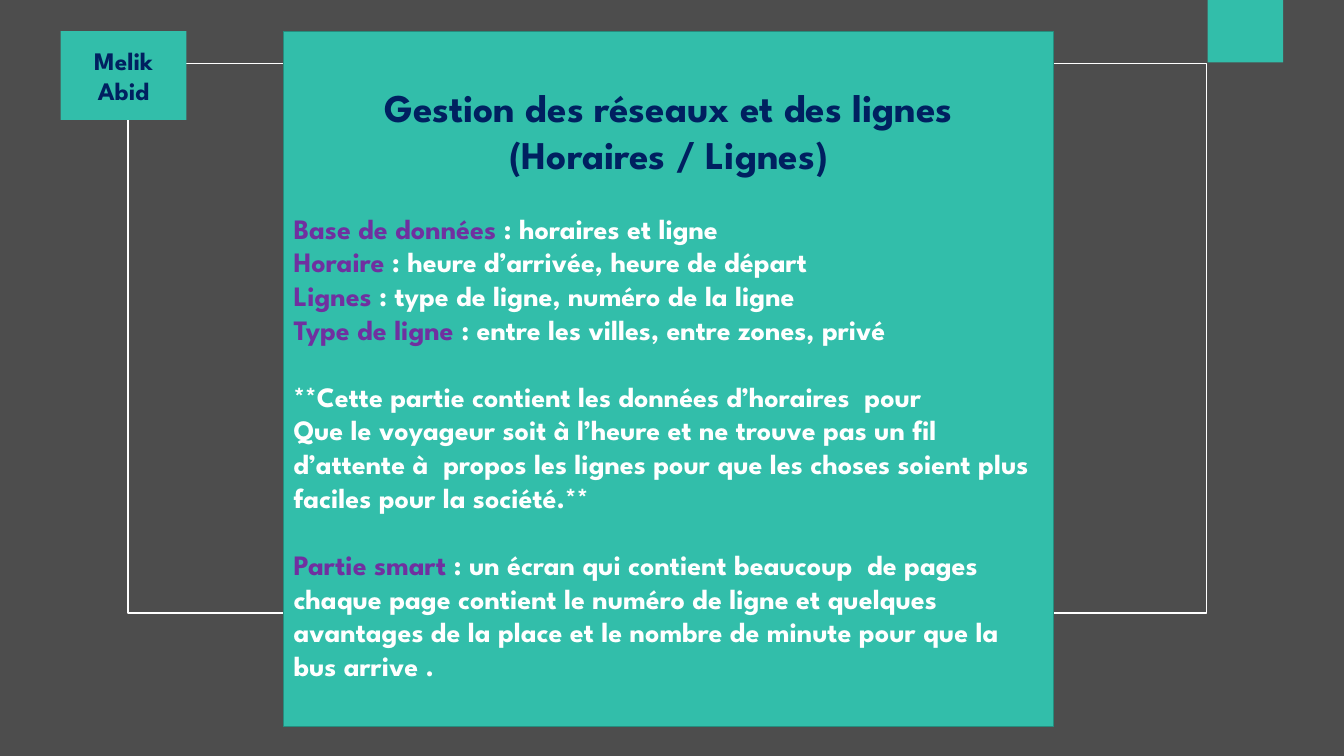
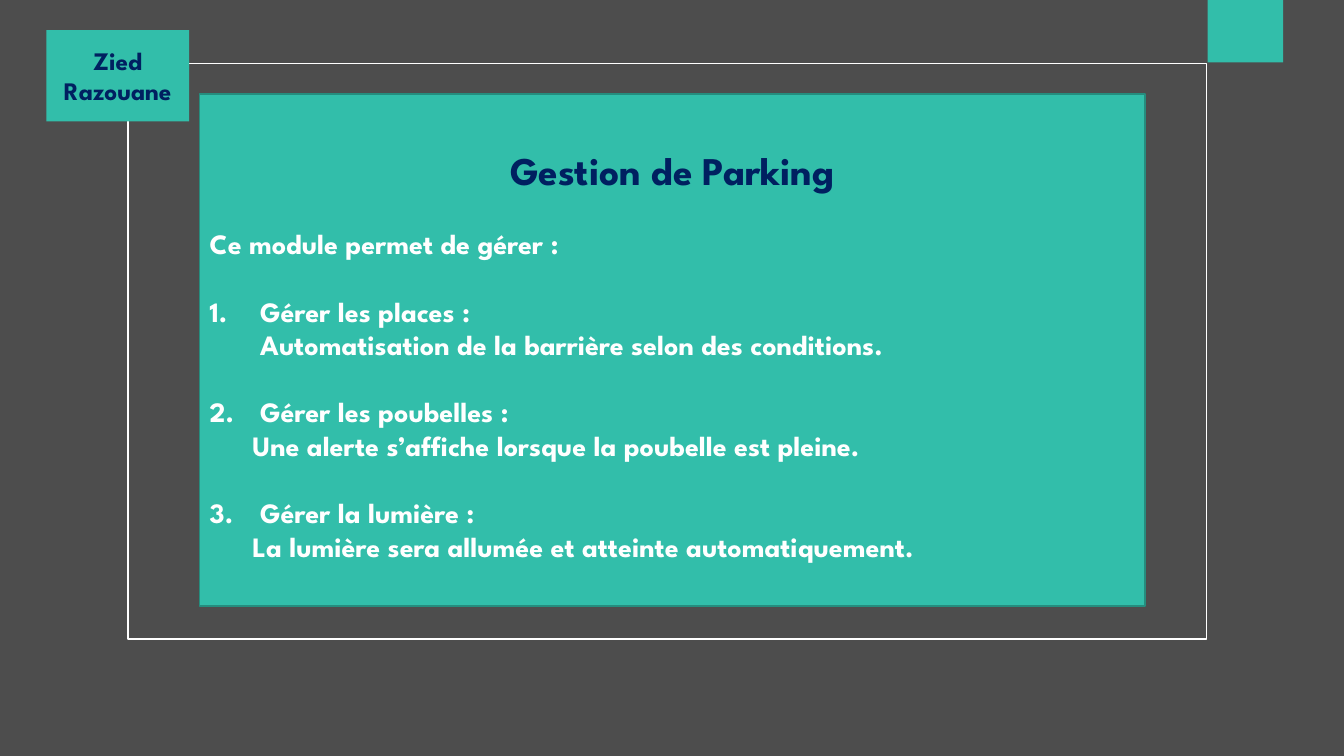
import pptx
import pptx.util
import pptx.dml.color
import pptx.enum.shapes
import pptx.enum.text
import pptx.oxml.ns
import lxml.etree

Pt = pptx.util.Pt
RGB = pptx.dml.color.RGBColor
ALIGN = pptx.enum.text.PP_ALIGN
ANCHOR = pptx.enum.text.MSO_ANCHOR

# Shared style
FONT = "League Spartan"
GREY = RGB(0x4D, 0x4D, 0x4D)
TEAL = RGB(0x32, 0xBE, 0xAA)
EDGE = RGB(0x25, 0x8D, 0x7E)
NAVY = RGB(0x00, 0x20, 0x60)
PURPLE = RGB(0x70, 0x30, 0xA0)
WHITE = RGB(0xFF, 0xFF, 0xFF)
HEAD, TEXT, NAME = 28, 20, 18
LEAD = 1.2
GAP = TEXT * LEAD
INSET = 3.6

# Each line: label, text, gap above, number, left indent
NETWORK = [
    ("Base de données", " : horaires et ligne", 0, 0, 0),
    ("Horaire", " : heure d’arrivée, heure de départ", 0, 0, 0),
    ("Lignes", " : type de ligne, numéro de la ligne", 0, 0, 0),
    ("Type de ligne", " : entre les villes, entre zones, privé", 0, 0, 0),
    ("", "**Cette partie contient les données d’horaires  pour", GAP, 0, 0),
    ("", "Que le voyageur soit à l’heure et ne trouve pas un fil d’attente "
     "à  propos les lignes pour que les choses soient plus faciles pour la "
     "société.**", 0, 0, 0),
    ("Partie smart", " : un écran qui contient beaucoup  de pages chaque page "
     "contient le numéro de ligne et quelques avantages de la place et le "
     "nombre de minute pour que la bus arrive .", GAP, 0, 0),
]
PARKING = [
    ("", "Ce module permet de gérer :", 0, 0, 0),
    ("", "Gérer les places :", GAP, 1, 36),
    ("", "Automatisation de la barrière selon des conditions.", 0, 0, 36),
    ("", "Gérer les poubelles :", GAP, 2, 36),
    ("", "Une alerte s’affiche lorsque la poubelle est pleine.", 0, 0, 30.5),
    ("", "Gérer la lumière :", GAP, 3, 36),
    ("", "La lumière sera allumée et atteinte automatiquement.", 0, 0, 30.5),
]


def style(run, size, color):
    run.font.name = FONT
    run.font.size = Pt(size)
    run.font.bold = True
    run.font.color.rgb = color


def box(slide, area, fill=None, line=None):
    kind = pptx.enum.shapes.MSO_SHAPE.RECTANGLE
    shape = slide.shapes.add_shape(kind, *map(Pt, area))
    shape.shadow.inherit = False
    if fill is None:
        shape.fill.background()
    else:
        shape.fill.solid()
        shape.fill.fore_color.rgb = fill
    if line is None:
        shape.line.fill.background()
    else:
        shape.line.color.rgb = line
        shape.line.width = Pt(1)
    return shape


def center(frame, text, size):
    frame.text = text
    for para in frame.paragraphs:
        para.alignment = ALIGN.CENTER
        for run in para.runs:
            style(run, size, NAVY)


def place(slot, area):
    """Move a placeholder to its area, in front of the panel."""
    slot.left, slot.top, slot.width, slot.height = map(Pt, area)
    slot.element.getparent().append(slot.element)
    frame = slot.text_frame
    frame.word_wrap = True
    frame.auto_size = pptx.enum.text.MSO_AUTO_SIZE.NONE
    frame.vertical_anchor = ANCHOR.TOP
    return frame


def mark(para, number, indent):
    """Set the indent and the number, or no bullet."""
    props = para._p.get_or_add_pPr()
    props.set("marL", str(int(Pt(indent))))
    props.set("indent", str(int(Pt(-indent if number else 0))))
    qn = pptx.oxml.ns.qn
    if number:
        lxml.etree.SubElement(props, qn("a:buFont"), typeface=FONT)
        lxml.etree.SubElement(props, qn("a:buAutoNum"),
                              type="arabicPeriod", startAt=str(number))
    else:
        lxml.etree.SubElement(props, qn("a:buNone"))


def write(frame, lines):
    frame.text = "\n".join(label or text for label, text, *_ in lines)
    for para, (label, text, gap, number, indent) in zip(frame.paragraphs, lines):
        para.alignment = ALIGN.LEFT
        para.space_before = Pt(gap)
        mark(para, number, indent)
        style(para.runs[0], TEXT, PURPLE if label else WHITE)
        if label:
            run = para.add_run()
            run.text = text
            style(run, TEXT, WHITE)


def build(deck, name, spot, depth, panel, title, lines):
    slide = deck.slides.add_slide(deck.slide_layouts[1])

    # Corner, frame and name tag
    box(slide, (862.6, 0, 54, 44.6), TEAL)
    box(slide, (91.5, 45.3, 770.4, depth), line=WHITE)
    tag = box(slide, spot, TEAL)
    tag.text_frame.word_wrap = True
    tag.text_frame.vertical_anchor = ANCHOR.MIDDLE
    center(tag.text_frame, name, NAME)

    # Panel with title and body
    box(slide, panel, TEAL, EDGE)
    left, top, width, height = panel
    row = HEAD * LEAD
    tall = row * len(title.split("\n"))
    start = top + row
    area = (left, start, width, tall + 2 * INSET)
    center(place(slide.shapes.title, area), title, HEAD)
    start += tall + GAP
    area = (left, start, width, top + height - start)
    write(place(slide.placeholders[1], area), lines)


def main():
    deck = pptx.Presentation()
    deck.slide_width, deck.slide_height = Pt(960), Pt(540)
    back = deck.slide_master.background.fill
    back.solid()
    back.fore_color.rgb = GREY

    build(deck, "Melik Abid", (43.4, 22.3, 89.8, 63.4), 392.6,
          (202.5, 22.5, 550, 496.6),
          "Gestion des réseaux et des lignes\n(Horaires / Lignes)", NETWORK)
    build(deck, "Zied\nRazouane", (33.2, 21.5, 102, 65.3), 411.2,
          (142.6, 67.2, 675.2, 365.8), "Gestion de Parking", PARKING)
    deck.save("out.pptx")


if __name__ == "__main__":
    main()
